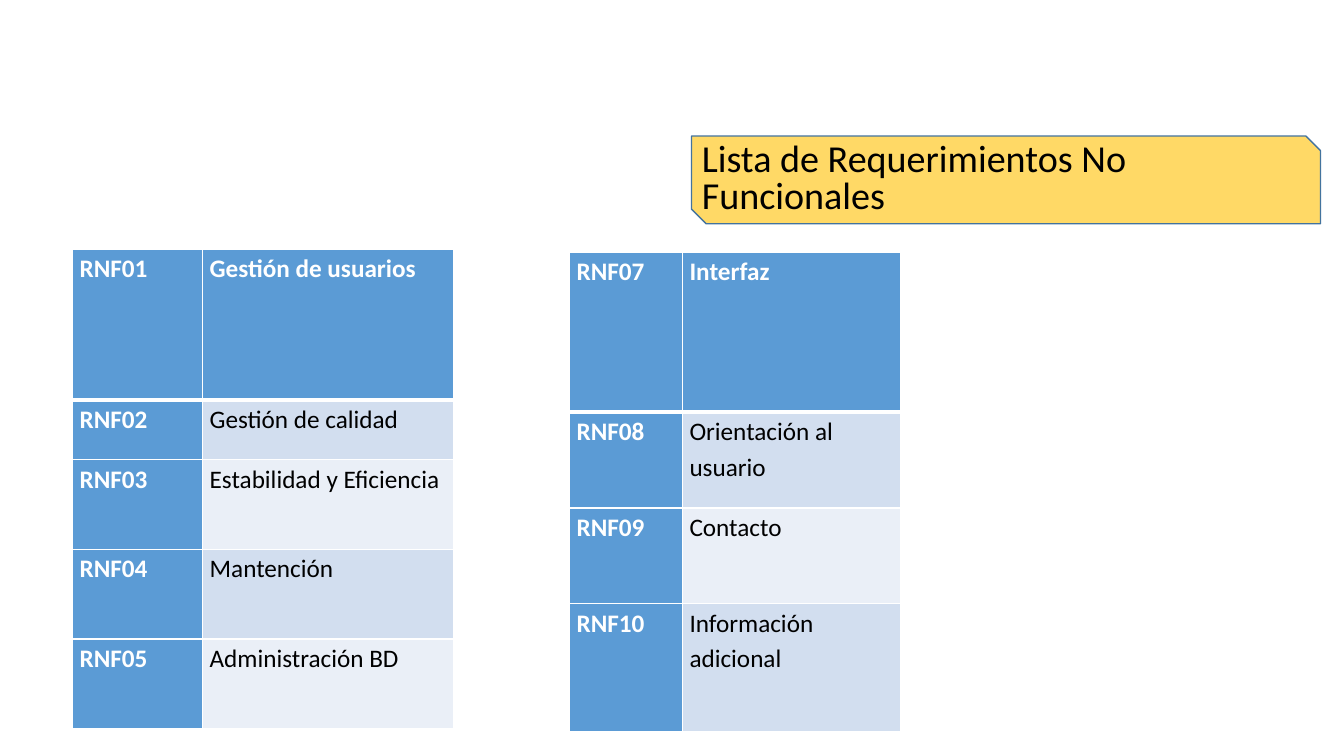
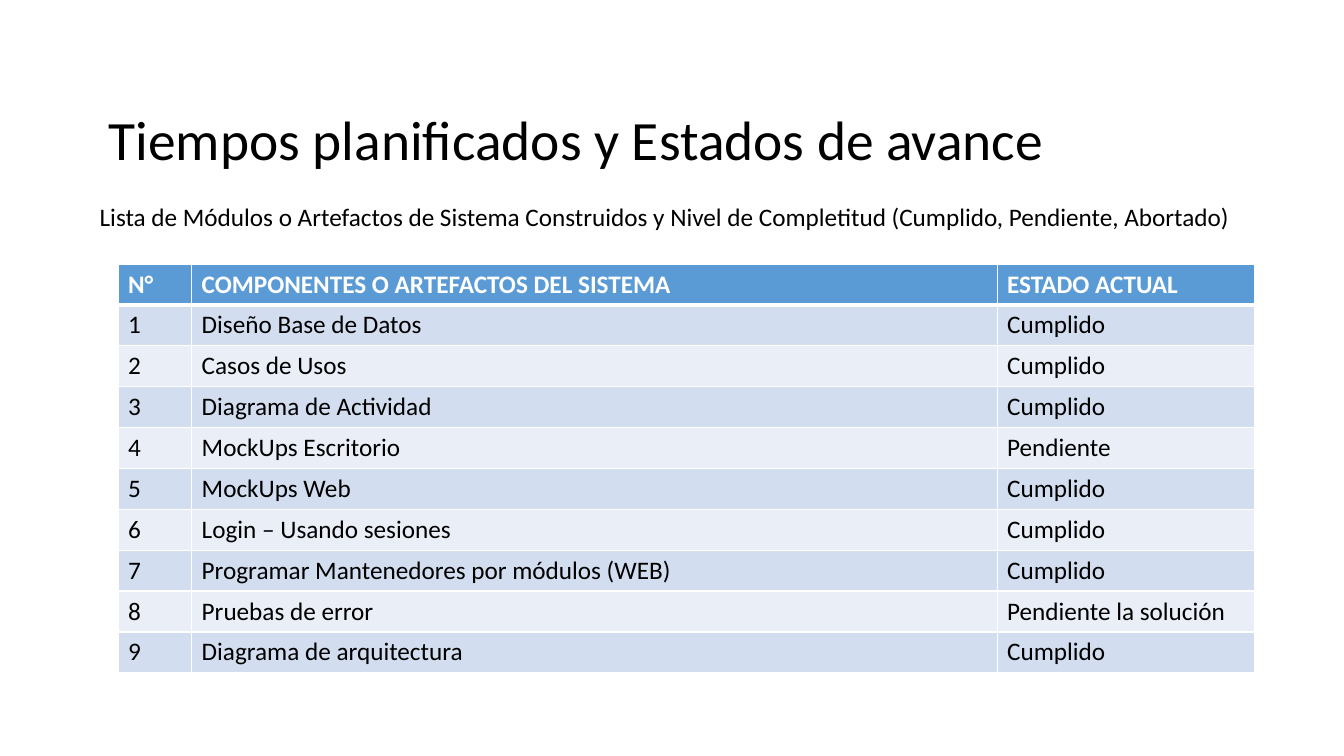
"""Build two slides: the non-functional requirements and the progress status."""
from dataclasses import dataclass

from lxml.etree import SubElement
from pptx import Presentation
from pptx.dml.color import RGBColor
from pptx.enum.shapes import MSO_SHAPE
from pptx.enum.text import MSO_ANCHOR, MSO_AUTO_SIZE, PP_ALIGN
from pptx.oxml.ns import qn
from pptx.util import Inches, Pt


@dataclass(frozen=True)
class Theme:
    font: str = "Calibri"
    ink: str = "000000"
    paper: str = "FFFFFF"
    accent: str = "5B9BD5"
    bands: tuple = ("D2DEEF", "EAEFF7")
    banner_fill: str = "FFD966"
    banner_line: str = "43739E"
    title_size: float = 39.6
    banner_size: float = 27.2
    body_size: float = 18
    thin_rule: float = 1
    thick_rule: float = 3


class SlideBuilder:
    def __init__(self, deck, theme):
        self.deck = deck
        self.theme = theme
        self.page = None

    def new_page(self):
        blank_layout = self.deck.slide_layouts[6]
        self.page = self.deck.slides.add_slide(blank_layout)

    def across(self, percent):
        return round(self.deck.slide_width * percent / 100)

    def down(self, percent):
        return round(self.deck.slide_height * percent / 100)

    def place(self, left, top, width, height):
        return self.across(left), self.down(top), self.across(width), self.down(height)

    def set_text(self, frame, text, size, color=None, bold=False, spacing=None):
        para = frame.paragraphs[0]
        para.text = text
        para.alignment = PP_ALIGN.LEFT
        para.line_spacing = spacing
        para.font.name = self.theme.font
        para.font.size = Pt(size)
        para.font.bold = bold
        para.font.color.rgb = RGBColor.from_string(color or self.theme.ink)

    def title(self, text, area):
        frame = self.page.shapes.add_textbox(*self.place(*area)).text_frame
        frame.word_wrap = True
        frame.vertical_anchor = MSO_ANCHOR.MIDDLE
        self.set_text(frame, text, self.theme.title_size, spacing=0.9)

    def caption(self, text, area):
        frame = self.page.shapes.add_textbox(*self.place(*area)).text_frame
        frame.word_wrap = False
        frame.auto_size = MSO_AUTO_SIZE.SHAPE_TO_FIT_TEXT
        self.set_text(frame, text, self.theme.body_size)

    def banner(self, text, area):
        box = self.page.shapes.add_shape(MSO_SHAPE.SNIP_2_DIAG_RECTANGLE, *self.place(*area))
        box.shadow.inherit = False
        box.fill.solid()
        box.fill.fore_color.rgb = RGBColor.from_string(self.theme.banner_fill)
        box.line.color.rgb = RGBColor.from_string(self.theme.banner_line)
        box.line.width = Pt(self.theme.thin_rule)
        frame = box.text_frame
        frame.word_wrap = True
        frame.vertical_anchor = MSO_ANCHOR.MIDDLE
        frame.margin_left = frame.margin_right = Inches(0.03)
        self.set_text(frame, text, self.theme.banner_size, spacing=0.8)

    def borders(self, cell, row):
        properties = cell._tc.get_or_add_tcPr()
        thick_side = {0: "lnB", 1: "lnT"}.get(row)
        for side in ("lnL", "lnR", "lnT", "lnB"):
            points = self.theme.thick_rule if side == thick_side else self.theme.thin_rule
            rule = SubElement(properties, qn(f"a:{side}"), w=str(Pt(points)))
            fill = SubElement(rule, qn("a:solidFill"))
            SubElement(fill, qn("a:srgbClr"), val=self.theme.paper)

    def table(self, left, top, widths, heights, rows, key_column=False, spacing=None):
        area = self.place(left, top, sum(widths), sum(heights))
        table = self.page.shapes.add_table(len(rows), len(widths), *area).table
        table.first_col = key_column
        for column, width in zip(table.columns, widths):
            column.width = self.across(width)
        for row, (texts, height) in enumerate(zip(rows, heights)):
            table.rows[row].height = self.down(height)
            for column, text in enumerate(texts):
                cell = table.cell(row, column)
                heading = row == 0 or (key_column and column == 0)
                self.borders(cell, row)
                cell.fill.solid()
                fill = self.theme.accent if heading else self.theme.bands[(row - 1) % 2]
                cell.fill.fore_color.rgb = RGBColor.from_string(fill)
                if key_column:
                    cell.margin_left = cell.margin_right = Inches(0.07)
                    cell.margin_top = cell.margin_bottom = 0
                color = self.theme.paper if heading else self.theme.ink
                self.set_text(cell.text_frame, text, self.theme.body_size, color, heading, spacing)

    def requirements(self, left, top, widths, heights, first_number, names):
        rows = [(f"RNF{number:02}", name) for number, name in enumerate(names, first_number)]
        self.table(left, top, widths, heights, rows, key_column=True, spacing=1.15)


def requirements_page(builder):
    builder.new_page()
    builder.requirements(
        42.38, 33.33, (8.4, 16.2), (21.2, 12.67, 12.67, 16.93), 7,
        ("Interfaz", "Orientación al usuario", "Contacto", "Información adicional"),
    )
    builder.requirements(
        5.4, 32.93, (9.68, 18.68), (20, 7.87, 11.87, 11.87, 11.87), 1,
        ("Gestión de usuarios", "Gestión de calidad", "Estabilidad y Eficiencia",
         "Mantención", "Administración BD"),
    )
    builder.banner("Lista de Requerimientos No Funcionales", (51.45, 18, 46.8, 11.6))


def progress_page(builder):
    builder.new_page()
    builder.title("Tiempos planificados y Estados de avance", (7.35, 14.93, 82.43, 7.73))
    builder.caption(
        "Lista de Módulos o Artefactos de Sistema Construidos y Nivel de Completitud "
        "(Cumplido, Pendiente, Abortado)",
        (6.68, 26, 86.55, 5.33),
    )
    done = "Cumplido"
    artefacts = (
        ("Diseño Base de Datos", done),
        ("Casos de Usos", done),
        ("Diagrama de Actividad", done),
        ("MockUps Escritorio", "Pendiente"),
        ("MockUps Web", done),
        ("Login – Usando sesiones", done),
        ("Programar Mantenedores por módulos (WEB)", done),
        ("Pruebas de error", "Pendiente la solución"),
        ("Diagrama de arquitectura", done),
    )
    rows = [("N°", "COMPONENTES O ARTEFACTOS DEL SISTEMA", "ESTADO ACTUAL")]
    rows += [(str(number), *artefact) for number, artefact in enumerate(artefacts, 1)]
    builder.table(8.78, 34.93, (5.48, 59.93, 19.13), [5.41] * len(rows), rows)


def main():
    deck = Presentation()
    deck.slide_width, deck.slide_height = Inches(13.33), Inches(7.5)
    builder = SlideBuilder(deck, Theme())
    requirements_page(builder)
    progress_page(builder)
    deck.save("out.pptx")


if __name__ == "__main__":
    main()
